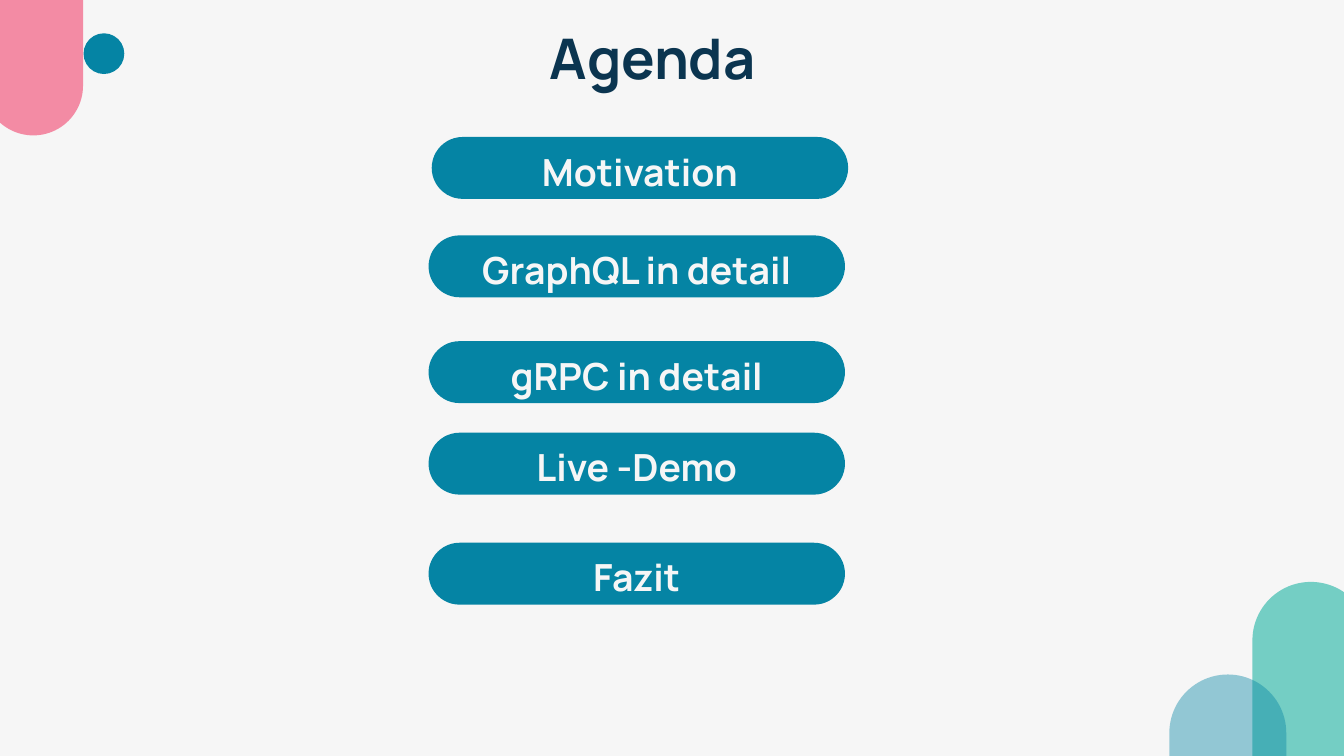
"""Build an agenda slide with five topic pills and rounded corner decorations."""
from lxml import etree
from pptx import Presentation
from pptx import util as u
from pptx.dml.color import RGBColor
from pptx.enum import shapes, text
from pptx.oxml.ns import qn

COLORS = {
    "background": "F6F6F6",
    "navy": "0B3550",
    "teal": "0584A4",
    "mint": "74CEC4",
    "pink": "F2557A",
}
FONT = "Manrope"
ROUNDED = shapes.MSO_SHAPE.ROUNDED_RECTANGLE
OVAL = shapes.MSO_SHAPE.OVAL

TITLE = "Agenda"
TITLE_BOX = (1.63, 0.28, 21.41, 1.6)
TOPICS = [
    ("Motivation", 8.16, 2.59),
    ("GraphQL in detail", 8.1, 4.45),
    ("gRPC in detail", 8.1, 6.45),
    ("Live -Demo", 8.1, 8.18),
    ("Fazit", 8.1, 10.26),
]
PILL_SIZE = (7.87, 1.17)
DECORATIONS = [
    (ROUNDED, (23.67, 11.0, 2.21, 11.48), "mint", 100),
    (ROUNDED, (22.1, 12.75, 2.21, 7.95), "teal", 41),
    (OVAL, (1.58, 0.63, 0.77, 0.77), "teal", 100),
    (ROUNDED, (-0.31, -2.52, 1.88, 5.08), "pink", 66),
]


def color(name):
    return RGBColor.from_string(COLORS[name])


def add_filled_shape(slide, kind, box, fill, opacity=100):
    shape = slide.shapes.add_shape(kind, *map(u.Cm, box))
    shape.shadow.inherit = False
    shape.line.fill.background()
    shape.fill.solid()
    shape.fill.fore_color.rgb = color(fill)
    if kind == ROUNDED:
        shape.adjustments[0] = 0.5
    if opacity < 100:
        tint = shape.fill._xPr.find(qn("a:solidFill"))[0]
        etree.SubElement(tint, qn("a:alpha"), val=str(opacity * 1000))
    return shape


def write_text(shape, content, *, size, ink, anchor, spacing=1.0, top=0.25, bottom=0.25):
    frame = shape.text_frame
    frame.word_wrap = True
    frame.vertical_anchor = anchor
    frame.margin_left = frame.margin_right = u.Cm(0.25)
    frame.margin_top, frame.margin_bottom = u.Cm(top), u.Cm(bottom)
    paragraph = frame.paragraphs[0]
    paragraph.alignment = text.PP_ALIGN.CENTER
    paragraph.line_spacing = spacing
    run = paragraph.add_run()
    run.text = content
    run.font.name = FONT
    run.font.size = u.Pt(size)
    run.font.bold = True
    run.font.color.rgb = color(ink)


def main():
    presentation = Presentation()
    presentation.slide_width, presentation.slide_height = u.Cm(25.4), u.Cm(14.29)
    slide = presentation.slides.add_slide(presentation.slide_layouts[6])
    slide.background.fill.solid()
    slide.background.fill.fore_color.rgb = color("background")

    for kind, box, fill, opacity in DECORATIONS:
        add_filled_shape(slide, kind, box, fill, opacity)

    title = slide.shapes.add_textbox(*map(u.Cm, TITLE_BOX))
    write_text(title, TITLE, size=30, ink="navy", anchor=text.MSO_ANCHOR.TOP,
               top=0.17, bottom=0)

    for topic, left, top in TOPICS:
        pill = add_filled_shape(slide, ROUNDED, (left, top, *PILL_SIZE), "teal")
        write_text(pill, topic, size=20, ink="background",
                   anchor=text.MSO_ANCHOR.MIDDLE, spacing=1.15)

    presentation.save("out.pptx")


if __name__ == "__main__":
    main()
